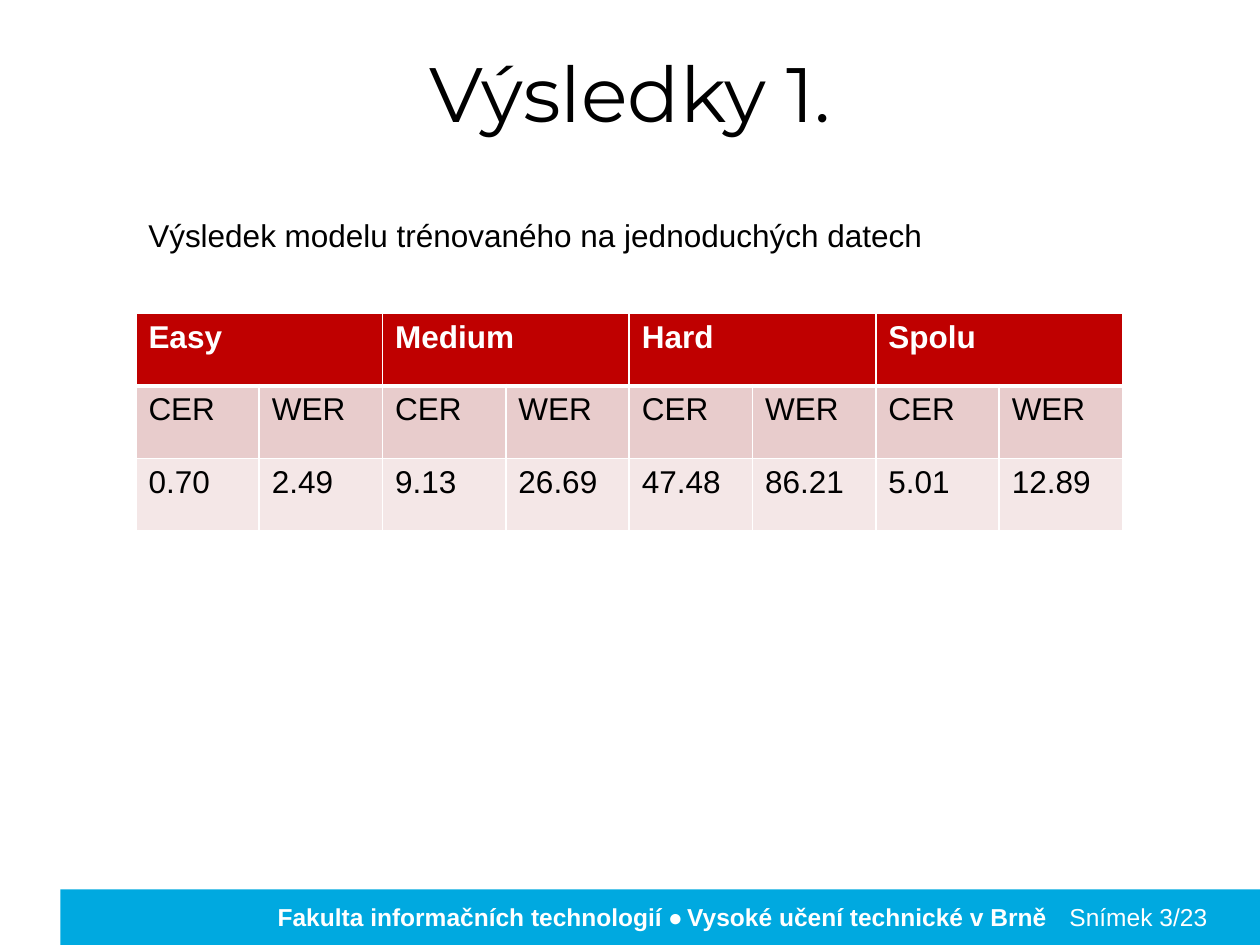
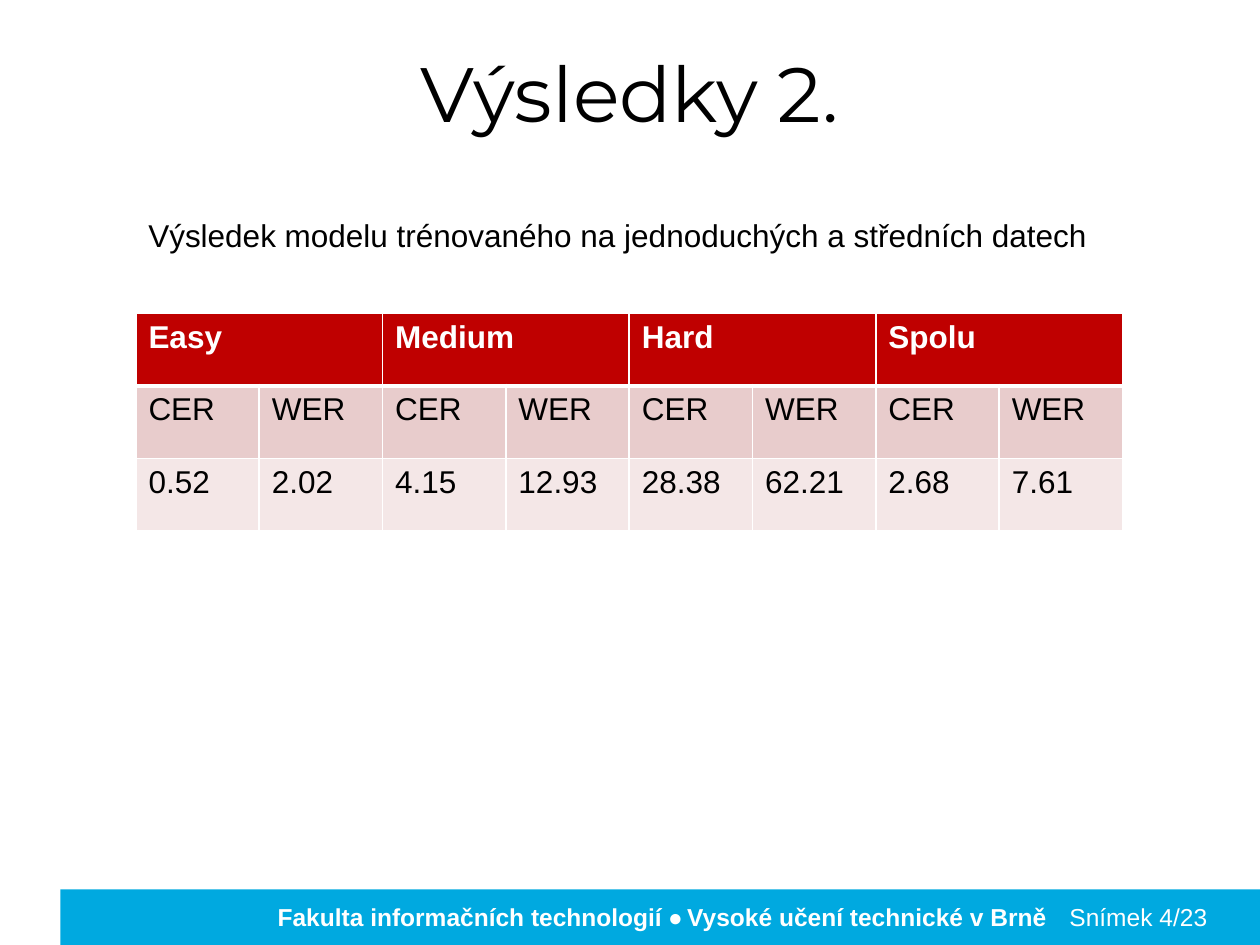
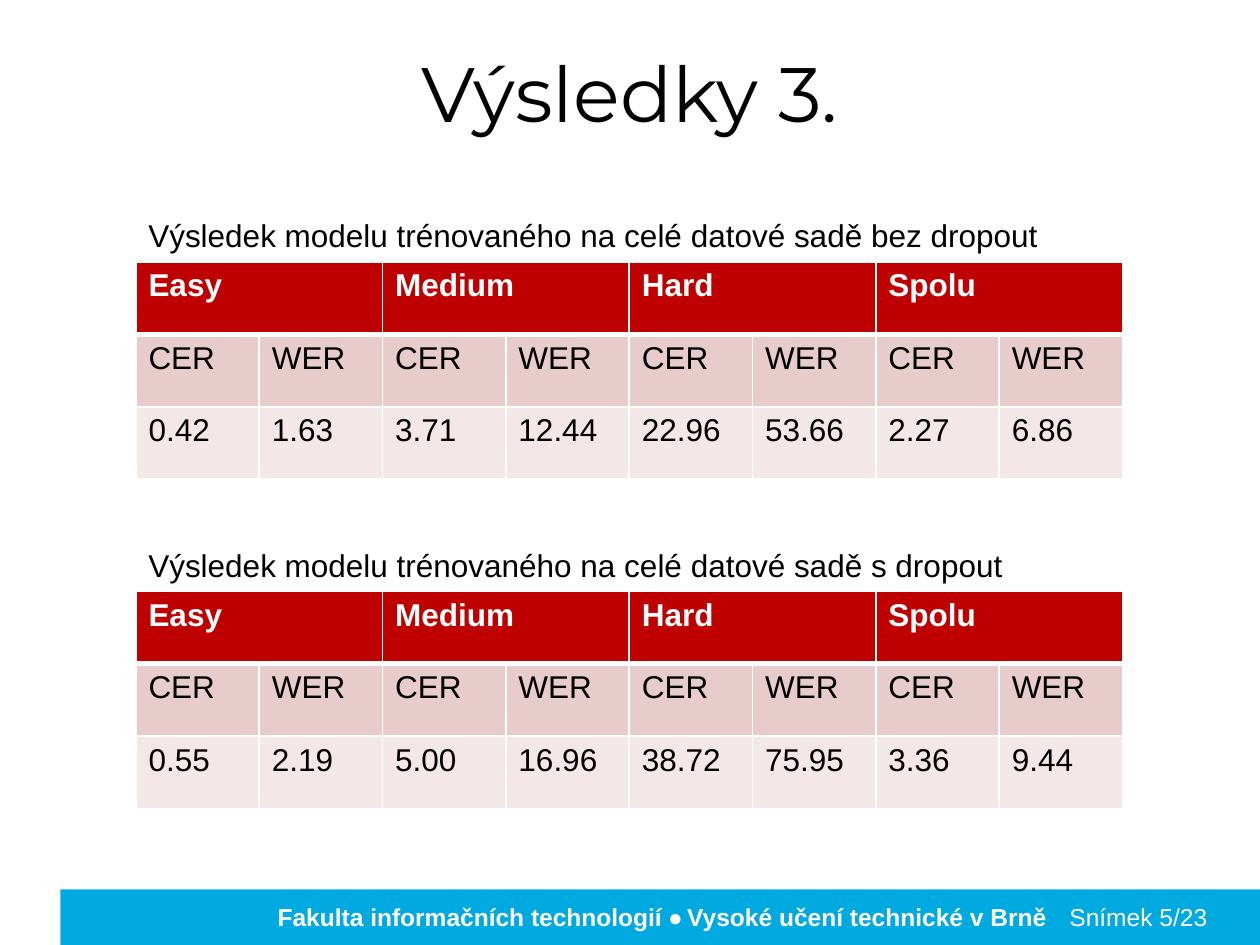
import pptx
import pptx.dml.color
import pptx.enum.shapes
import pptx.enum.text
import pptx.oxml
import pptx.oxml.ns
import pptx.util
from pptx.util import Cm

RGBColor = pptx.dml.color.RGBColor
PP_ALIGN = pptx.enum.text.PP_ALIGN

WHITE = RGBColor(0xFF, 0xFF, 0xFF)
BLACK = RGBColor(0x00, 0x00, 0x00)
FOOTER_BLUE = RGBColor(0x00, 0xA9, 0xE0)
HEADER_RED = RGBColor(0xBF, 0x00, 0x00)
METRIC_PINK = RGBColor(0xE8, 0xCC, 0xCC)
VALUE_PINK = RGBColor(0xF4, 0xE7, 0xE7)

BODY_FONT = "Arial"
TITLE_FONT = "Montserrat"
BULLET_FONT = "Calibri"

SLIDE_SIZE = (Cm(25.4), Cm(19.05))
TITLE_BOX = (Cm(1.27), Cm(0.8), Cm(22.86), Cm(3.18))
FOOTER_BOX = (Cm(1.22), Cm(17.93), Cm(24.18), Cm(1.12))
RESULT_LEFT = Cm(2.74)
RESULT_WIDTH = Cm(19.89)
FIRST_TOP = Cm(4.24)
SECOND_TOP = Cm(10.88)
CAPTION_HEIGHT = Cm(1.02)
ROW_HEIGHT = Cm(1.46)
CLOSE_OFFSET = Cm(1.04)
WIDE_OFFSET = Cm(2.08)

SLIDE_TOTAL = 23
FIRST_NUMBER = 3
FOOTER_PARTS = [
    ("Fakulta informačních technologií ", BODY_FONT),
    ("• ", BULLET_FONT),
    ("Vysoké učení technické v Brně", BODY_FONT),
]
GROUPS = ["Easy", "Medium", "Hard", "Spolu"]
METRICS = ["CER", "WER"]

RESULTS = [
    ("Výsledky 1.", WIDE_OFFSET, [
        (FIRST_TOP, "Výsledek modelu trénovaného na jednoduchých datech",
         ["0.70", "2.49", "9.13", "26.69", "47.48", "86.21", "5.01", "12.89"]),
    ]),
    ("Výsledky 2.", WIDE_OFFSET, [
        (FIRST_TOP, "Výsledek modelu trénovaného na jednoduchých a středních datech",
         ["0.52", "2.02", "4.15", "12.93", "28.38", "62.21", "2.68", "7.61"]),
    ]),
    ("Výsledky 3.", CLOSE_OFFSET, [
        (FIRST_TOP, "Výsledek modelu trénovaného na celé datové sadě bez dropout",
         ["0.42", "1.63", "3.71", "12.44", "22.96", "53.66", "2.27", "6.86"]),
        (SECOND_TOP, "Výsledek modelu trénovaného na celé datové sadě s dropout",
         ["0.55", "2.19", "5.00", "16.96", "38.72", "75.95", "3.36", "9.44"]),
    ]),
]


def style_span(span, size, color, font=BODY_FONT, bold=False):
    span.font.size = pptx.util.Pt(size)
    span.font.color.rgb = color
    span.font.name = font
    span.font.bold = bold


def add_text(page, box, parts, size, color, bold=False, align=PP_ALIGN.LEFT):
    frame = page.shapes.add_textbox(*box).text_frame
    frame.word_wrap = True
    para = frame.paragraphs[0]
    para.alignment = align
    for text, font in parts:
        span = para.add_run()
        span.text = text
        style_span(span, size, color, font, bold)


def add_footer(page, box, number):
    left, top, width, height = box
    band = page.shapes.add_shape(pptx.enum.shapes.MSO_SHAPE.RECTANGLE, *box)
    band.shadow.inherit = False
    band.fill.solid()
    band.fill.fore_color.rgb = FOOTER_BLUE
    band.line.fill.background()
    text_top = top + Cm(0.13)
    text_height = Cm(0.86)
    add_text(page, (left + Cm(0.08), text_top, width - Cm(0.08), text_height),
             FOOTER_PARTS, 14, WHITE, bold=True, align=PP_ALIGN.CENTER)
    add_text(page, (left + Cm(20.09), text_top, Cm(3.61), text_height),
             [(f"Snímek {number}/{SLIDE_TOTAL}", BODY_FONT)], 14, WHITE)


def set_borders(cell, top, bottom):
    properties = cell._tc.get_or_add_tcPr()
    for side, points in (("L", 1), ("R", 1), ("T", top), ("B", bottom)):
        properties.append(pptx.oxml.parse_xml(
            f'<a:ln{side} {pptx.oxml.ns.nsdecls("a")} w="{pptx.util.Pt(points)}">'
            f'<a:solidFill><a:srgbClr val="{WHITE}"/></a:solidFill></a:ln{side}>'))


def add_result_table(page, box, values):
    metric_count = len(METRICS)
    header = [text for group in GROUPS for text in [group] + [""] * (metric_count - 1)]
    rows = [
        (header, HEADER_RED, WHITE, True, 1, 3),
        (METRICS * len(GROUPS), METRIC_PINK, BLACK, False, 3, 1),
        (values, VALUE_PINK, BLACK, False, 1, 1),
    ]
    table = page.shapes.add_table(len(rows), len(values), *box).table
    for row_index, (texts, fill, color, bold, top, bottom) in enumerate(rows):
        for column_index, text in enumerate(texts):
            cell = table.cell(row_index, column_index)
            set_borders(cell, top, bottom)
            cell.fill.solid()
            cell.fill.fore_color.rgb = fill
            cell.text_frame.text = text
            for span in cell.text_frame.paragraphs[0].runs:
                style_span(span, 18, color, bold=bold)
    for start in range(0, len(values), metric_count):
        table.cell(0, start).merge(table.cell(0, start + metric_count - 1))


def add_result(page, box, table_offset, caption, values):
    left, top, width, height = box
    add_text(page, (left, top, width, CAPTION_HEIGHT), [(caption, BODY_FONT)], 18, BLACK)
    add_result_table(page, (left, top + table_offset, width, height - table_offset), values)


def add_results_slide(deck, number, title, table_offset, results):
    page = deck.slides.add_slide(deck.slide_layouts[6])
    add_footer(page, FOOTER_BOX, number)
    add_text(page, TITLE_BOX, [(title, TITLE_FONT)], 44, BLACK, align=PP_ALIGN.CENTER)
    for top, caption, values in results:
        box = (RESULT_LEFT, top, RESULT_WIDTH, table_offset + 3 * ROW_HEIGHT)
        add_result(page, box, table_offset, caption, values)


def main():
    deck = pptx.Presentation()
    deck.slide_width, deck.slide_height = SLIDE_SIZE
    for number, (title, table_offset, results) in enumerate(RESULTS, FIRST_NUMBER):
        add_results_slide(deck, number, title, table_offset, results)
    deck.save("out.pptx")


if __name__ == "__main__":
    main()
